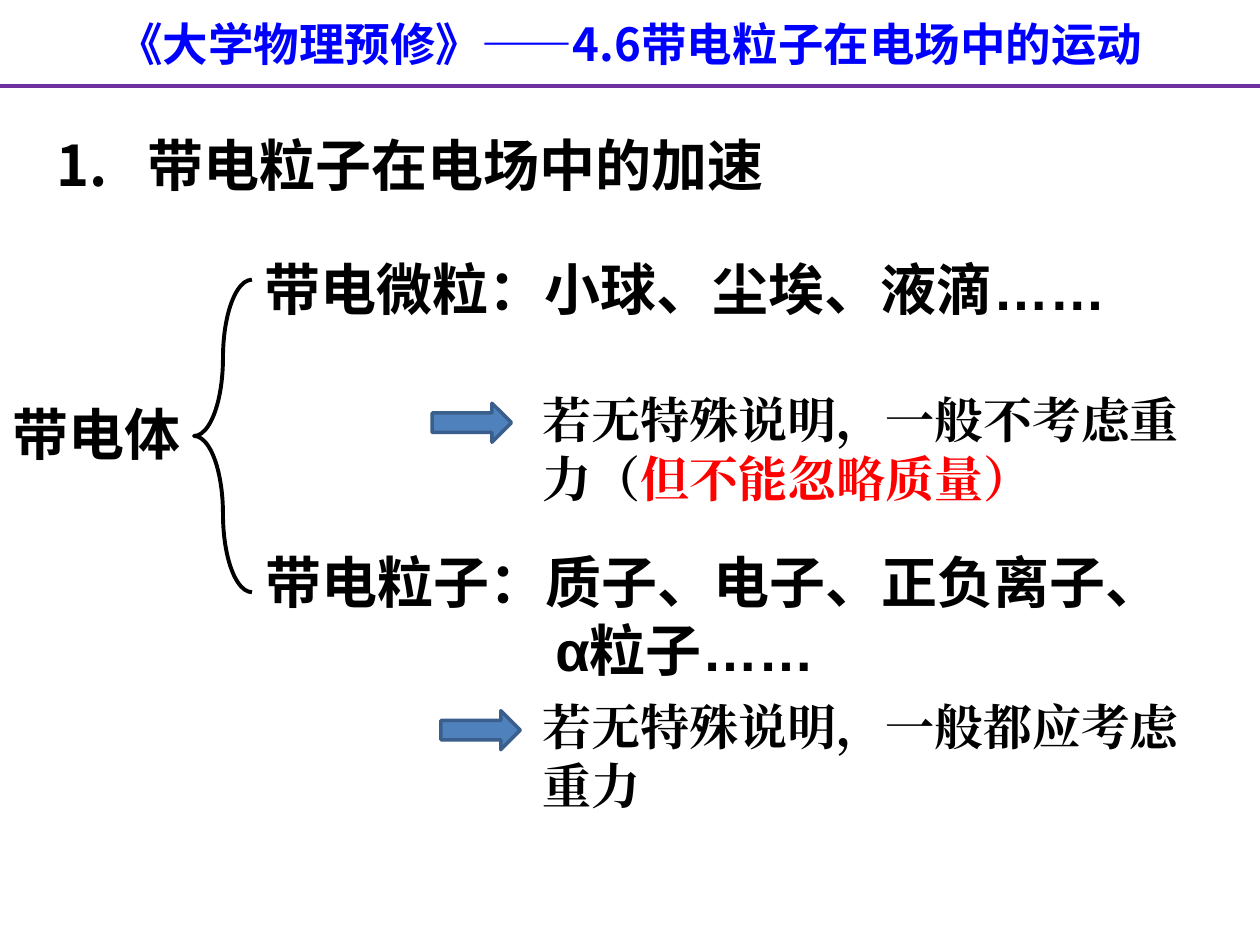
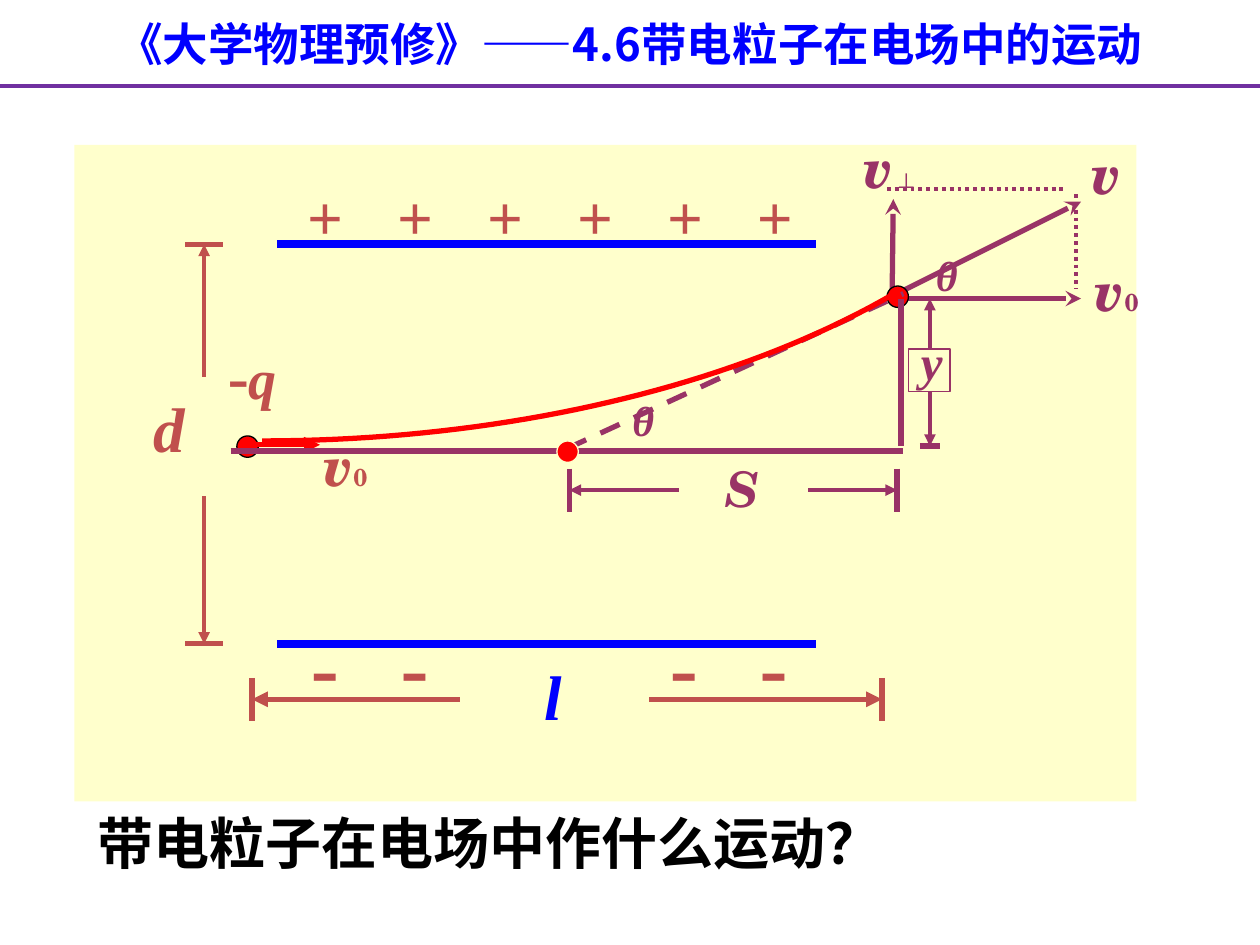
from lxml import etree
from pptx import Presentation
from pptx.dml.color import RGBColor
from pptx.enum.dml import MSO_LINE
from pptx.enum.shapes import MSO_CONNECTOR, MSO_SHAPE
from pptx.enum.text import MSO_ANCHOR, MSO_AUTO_SIZE, PP_ALIGN
from pptx.oxml.ns import qn
from pptx.util import Emu, Pt

STRAIGHT = MSO_CONNECTOR.STRAIGHT
RECTANGLE, ELLIPSE = MSO_SHAPE.RECTANGLE, MSO_SHAPE.OVAL
ARROW, BRACE = MSO_SHAPE.RIGHT_ARROW, MSO_SHAPE.LEFT_BRACE
DOTTED, DASHED = MSO_LINE.ROUND_DOT, MSO_LINE.DASH
LEFT, CENTER = PP_ALIGN.LEFT, PP_ALIGN.CENTER
TOP, NO_AUTOFIT = MSO_ANCHOR.TOP, MSO_AUTO_SIZE.NONE

SCALE = 9144  # 100 px to the inch
TITLE_ONLY, TITLE_AND_BODY = 5, 1

CJK, SERIF, SCHOLA, SANS = "Noto Sans CJK SC", "Times New Roman", "TeX Gyre Schola", "Arial"
BLACK, BLUE, RED, PURPLE = "000000", "0000FF", "FF0000", "7030A0"
BRICK, PLUM, CREAM = "C0504D", "993366", "FFFFCC"
ARROW_FILL, ARROW_EDGE = "4F81BD", "3A5F8C"
HEADER = "《大学物理预修》——4.6带电粒子在电场中的运动"


def px(value):
    return Emu(round(value * SCALE))


def rgb(value):
    return RGBColor.from_string(value)


def set_font(font, size=None, color=None, name=None, italic=None):
    if size:
        font.size = Pt(size)
    if color:
        font.color.rgb = rgb(color)
    if name:
        font.name = name
    if italic is not None:
        font.italic = italic


class Lecture:
    def __init__(self):
        self.deck = Presentation()
        self.deck.slide_width, self.deck.slide_height = px(1000), px(750)
        self.page = None

    def add_page(self, layout):
        """Start a slide with the shared title and rule."""
        self.page = self.deck.slides.add_slide(self.deck.slide_layouts[layout])
        title = self.placeholder(self.page.shapes.title, 0, 8, 1000, 54)
        self.fill_text(title, [[(HEADER, {})]], 26, BLUE, CJK, align=CENTER)
        self.line((0, 68), (1000, 68), PURPLE, 2.25)

    def placeholder(self, box, left, top, width, height):
        box.left, box.top, box.width, box.height = map(px, (left, top, width, height))
        box.text_frame.auto_size = NO_AUTOFIT
        return box

    def fill_text(self, box, paragraphs, size, color, font, italic=None, align=LEFT):
        """Fill a box; each paragraph is a list of (text, font changes)."""
        frame = box.text_frame
        frame.word_wrap = True
        frame.vertical_anchor = TOP
        for index, spans in enumerate(paragraphs):
            para = frame.paragraphs[0] if index == 0 else frame.add_paragraph()
            para.alignment = align
            para.space_before = Pt(0)
            for text, changes in spans:
                span = para.add_run()
                span.text = text
                set_font(span.font, **changes)
            etree.SubElement(para._p.get_or_add_pPr(), qn("a:buNone"))
            set_font(para.font, size, color, font, italic)
            para.font.bold = True
        for latin in list(box.element.iter(qn("a:latin"))):
            east_asian = etree.Element(qn("a:ea"))
            east_asian.set("typeface", latin.get("typeface"))
            latin.addnext(east_asian)

    def indent(self, para, margin, first=0):
        properties = para._p.get_or_add_pPr()
        properties.set("marL", str(px(margin)))
        properties.set("indent", str(px(first)))

    def text(self, left, top, width, height, paragraphs, size, color=BLACK, font=CJK, italic=None):
        box = self.page.shapes.add_textbox(*map(px, (left, top, width, height)))
        self.fill_text(box, paragraphs, size, color, font, italic)
        return box

    def symbol(self, text, left, top, size, color, font=SERIF, italic=True, small=None, width=75):
        """A letter of the diagram, with an optional small upright mark."""
        spans = [(text, {})]
        if small:
            spans.append((small, {"size": 14, "italic": False}))
        self.text(left, top, width, round(size * 1.67 + 10), [spans], size, color, font, italic)

    def shape(self, kind, left, top, width, height, fill=None, edge=None, weight=0.75):
        item = self.page.shapes.add_shape(kind, *map(px, (left, top, width, height)))
        self.paint(item, fill, edge, weight)
        return item

    def paint(self, item, fill, edge, weight):
        item.shadow.inherit = False
        if fill:
            item.fill.solid()
            item.fill.fore_color.rgb = rgb(fill)
        else:
            item.fill.background()
        if edge:
            item.line.color.rgb = rgb(edge)
            item.line.width = Pt(weight)
        else:
            item.line.fill.background()

    def line(self, start, end, color, weight, dash=None, head=None, tail=None):
        item = self.page.shapes.add_connector(STRAIGHT, *map(px, start + end))
        item.line.color.rgb = rgb(color)
        item.line.width = Pt(weight)
        if dash:
            item.line.dash_style = dash
        stroke = item.element.spPr.find(qn("a:ln"))
        for tag, kind in (("a:headEnd", head), ("a:tailEnd", tail)):
            if kind:
                etree.SubElement(stroke, qn(tag)).set("type", kind)
        etree.SubElement(item.element.spPr, qn("a:effectLst"))

    def dimension(self, start, end, bar, color, weight):
        """A double arrow with a cross bar at both ends."""
        self.line(start, end, color, weight, head="triangle", tail="triangle")
        across, down = (bar, 0) if start[0] == end[0] else (0, bar)
        for x, y in (start, end):
            self.line((x - across, y - down), (x + across, y + down), color, 3)

    def curve(self, points, color, weight, steps=40):
        """A cubic curve through four control points."""
        def at(t):
            weights = ((1 - t) ** 3, 3 * t * (1 - t) ** 2, 3 * t * t * (1 - t), t ** 3)
            return tuple(px(sum(w * p[axis] for w, p in zip(weights, points))) for axis in (0, 1))

        builder = self.page.shapes.build_freeform(*at(0))
        builder.add_line_segments([at(i / steps) for i in range(1, steps + 1)], close=False)
        self.paint(builder.convert_to_shape(), None, color, weight)


def add_kinds_page(lecture):
    lecture.add_page(TITLE_ONLY)
    heading = lecture.text(35, 99, 661, 64, [[("1.\t带电粒子在电场中的加速", {})]], 32)
    lecture.indent(heading.text_frame.paragraphs[0], 72, -72)

    # Charged bodies split into two kinds
    lecture.text(0, 312, 243, 63, [[("带电体", {})]], 32)
    brace = lecture.shape(BRACE, 154, 222, 46, 248, edge=BLACK, weight=2.25)
    brace.adjustments[0], brace.adjustments[1] = 1.75, 0.5
    lecture.text(200, 197, 743, 63, [[("带电微粒：小球、尘埃、液滴……", {})]], 32, font=SANS)
    particles = [[("带电粒子：质子、电子、正负离子、", {})], [("α粒子……", {})]]
    box = lecture.text(201, 430, 758, 117, particles, 32, font=SANS)
    lecture.indent(box.text_frame.paragraphs[1], 230)

    # Remarks on gravity
    remarks = (
        (343, 304, [("若无特殊说明，一般不考虑重力（", {}), ("但不能忽略质量）", {"color": RED})]),
        (350, 548, [("若无特殊说明，一般都应考虑重力", {})]),
    )
    for arrow_left, top, spans in remarks:
        lecture.shape(ARROW, arrow_left, top + 16, 63, 31, ARROW_FILL, ARROW_EDGE, 2)
        lecture.text(421, top, 535, 104, [spans], 28, font=SERIF)


def add_deflection_page(lecture):
    lecture.add_page(TITLE_AND_BODY)
    lecture.shape(RECTANGLE, 59, 115, 843, 521, CREAM)

    # Charged plates and their distance d
    for plate_y in (194, 511):
        lecture.line((220, plate_y), (648, plate_y), BLUE, 4.5)
    lecture.dimension((162, 194), (162, 511), 15, BRICK, 2.25)
    lecture.shape(RECTANGLE, 132, 300, 60, 93, CREAM, CREAM)
    for column in range(6):
        lecture.symbol("+", 234 + 71.4 * column, 136, 36, BRICK, italic=False, width=43)
    for column in (0, 1, 4, 5):
        lecture.symbol("-", 237 + 71.2 * column, 482, 48, BRICK, italic=False, width=47)
    lecture.symbol("d", 112, 304, 36, BRICK, width=58)

    # Plate length l
    lecture.dimension((200, 555), (700, 555), 17, BRICK, 3)
    lecture.shape(RECTANGLE, 367, 520, 146, 69, CREAM, CREAM, 3)
    lecture.symbol("l", 422, 517, 36, BLUE)

    # Entering particle
    lecture.shape(ELLIPSE, 188, 346, 17, 17, RED, BLACK)
    lecture.line((202, 353), (254, 353), RED, 3, tail="triangle")
    lecture.symbol("v", 246, 337, 32, BRICK, SCHOLA, small="0")
    charge = [[("-", {"size": 36, "italic": False}), ("q", {})]]
    lecture.text(171, 262, 167, 70, charge, 32, BRICK, SERIF, True)

    # Velocity components at the exit
    for start, end in (((708, 235), (858, 160)), ((717, 237), (858, 237)), ((708, 237), (709, 158))):
        lecture.line(start, end, PLUM, 3, tail="stealth")
    lecture.symbol("θ", 733, 193, 24, PLUM, width=50)
    for left, top, small in ((856, 105, None), (858, 198, "0"), (675, 100, "⊥")):
        lecture.symbol("v", left, top, 32, PLUM, SCHOLA, small=small)
    lecture.line((854, 154), (854, 229), PLUM, 2.25, DOTTED)
    lecture.line((704, 150), (846, 150), PLUM, 2.25, DOTTED)
    lecture.shape(ELLIPSE, 704, 227, 17, 17, RED, BLACK)

    # Backward extension of the exit direction
    lecture.line((450, 356), (717, 233), PLUM, 3, DASHED)
    lecture.symbol("θ", 492, 308, 24, PLUM, width=50)

    # Deflection y
    lecture.line((715, 237), (715, 354), PLUM, 3)
    lecture.dimension((738, 237), (738, 354), 8, PLUM, 2.25)
    lecture.shape(RECTANGLE, 721, 277, 33, 34, CREAM, PLUM)
    lecture.symbol("y", 721, 258, 28, PLUM, width=50)

    # Distance S
    lecture.dimension((452, 389), (712, 389), 17, PLUM, 2.25)
    lecture.shape(RECTANGLE, 539, 359, 102, 58, CREAM, CREAM)
    lecture.symbol("S", 566, 359, 28, PLUM, SCHOLA)

    # Axis and trajectory
    lecture.line((183, 358), (717, 358), PLUM, 3)
    lecture.shape(ELLIPSE, 442, 350, 17, 17, RED, CREAM)
    lecture.curve(((208, 350), (400, 350), (583, 307), (710, 233)), RED, 3)

    # Question
    question = lecture.placeholder(lecture.page.placeholders[1], 67, 643, 708, 83)
    lecture.fill_text(question, [[("带电粒子在电场中作什么运动？", {})]], 32, BLACK, CJK)
    para = question.text_frame.paragraphs[0]
    para.line_spacing = 0.9
    lecture.indent(para, 38, -38)


def main():
    lecture = Lecture()
    add_kinds_page(lecture)
    add_deflection_page(lecture)
    lecture.deck.save("out.pptx")


if __name__ == "__main__":
    main()
